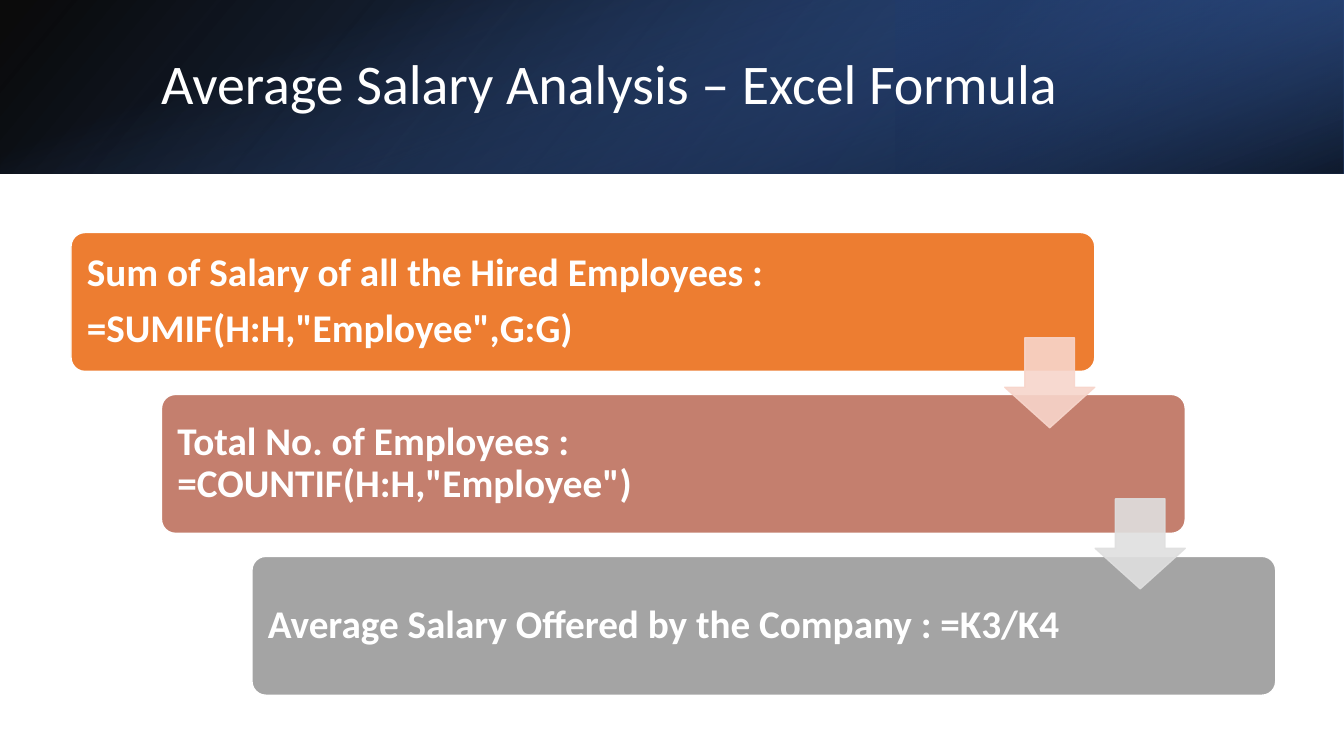
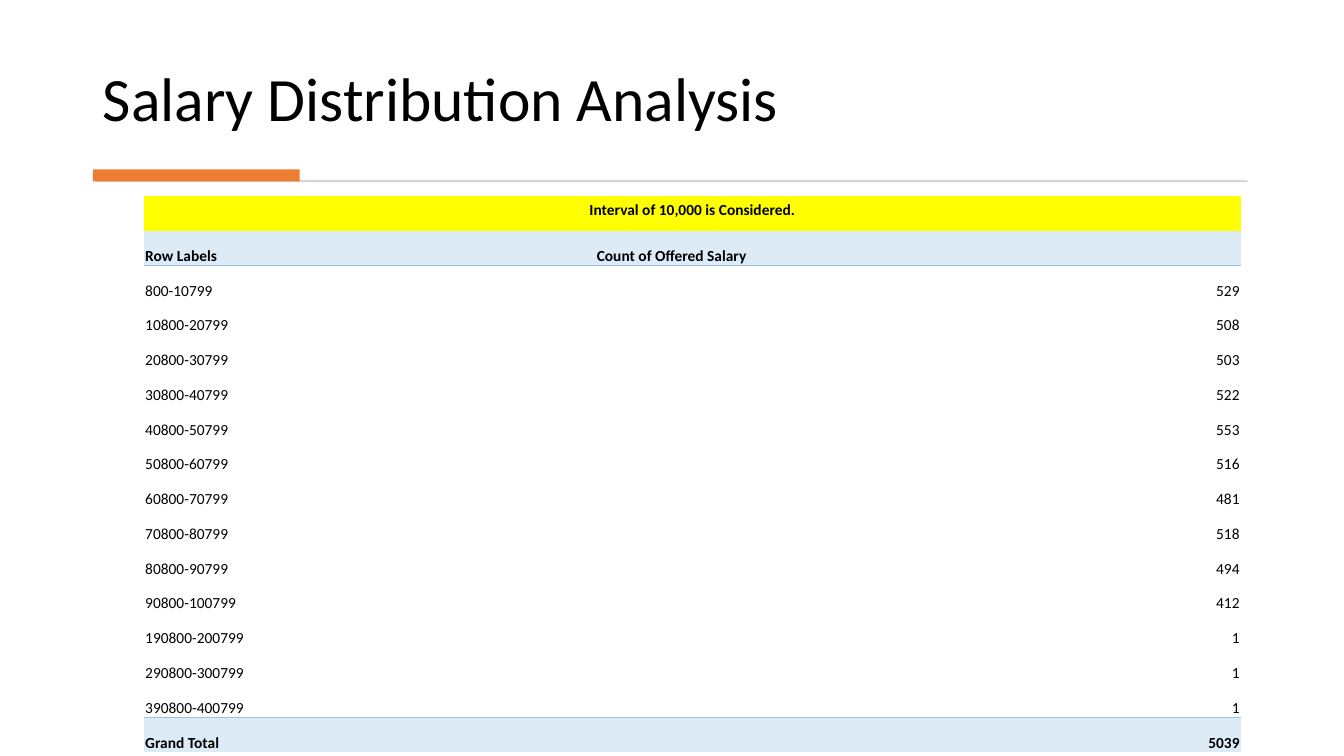
from dataclasses import dataclass

from lxml import etree
from pptx import Presentation
from pptx.dml.color import RGBColor
from pptx.enum.shapes import MSO_SHAPE
from pptx.enum.text import MSO_ANCHOR, PP_ALIGN
from pptx.oxml.ns import qn
from pptx.shapes.autoshape import Shape
from pptx.slide import Slide
from pptx.table import _Cell as Cell
from pptx.util import Cm, Pt

RECTANGLE = MSO_SHAPE.RECTANGLE
ROUNDED = MSO_SHAPE.ROUNDED_RECTANGLE
DOWN_ARROW = MSO_SHAPE.DOWN_ARROW
LEFT, CENTER, RIGHT = PP_ALIGN.LEFT, PP_ALIGN.CENTER, PP_ALIGN.RIGHT
TOP, MIDDLE, BOTTOM = MSO_ANCHOR.TOP, MSO_ANCHOR.MIDDLE, MSO_ANCHOR.BOTTOM
PLAIN_TABLE_STYLE = "{2D5ABB26-0587-4C30-8999-92F81FD0307C}"


@dataclass(frozen=True)
class Theme:
    font: str = "Calibri"
    white: str = "FFFFFF"
    black: str = "000000"
    orange: str = "ED7D31"
    rose: str = "C47F6E"
    gray: str = "A4A4A4"
    pale_rose: str = "F7D5CB"
    pale_gray: str = "DFDFDF"
    rule: str = "D5D5D5"
    blue: str = "4472C4"
    dark_blue: str = "2F5496"
    navy: str = "1F3864"
    yellow: str = "FFFF00"
    pale_blue: str = "DDEBF7"
    table_line: str = "9BC2E6"
    banner_title_size: int = 40
    title_size: int = 44
    step_size: int = 28
    table_size: int = 11


THEME = Theme()


@dataclass(frozen=True)
class Box:
    """Left, top, width and height in centimetres."""
    left: float
    top: float
    width: float
    height: float

    def lengths(self) -> tuple[Cm, Cm, Cm, Cm]:
        return Cm(self.left), Cm(self.top), Cm(self.width), Cm(self.height)

    def moved(self, right: float, down: float) -> "Box":
        return Box(self.left + right, self.top + down, self.width, self.height)


@dataclass(frozen=True)
class Stop:
    position: int
    color: str
    alpha: int


@dataclass(frozen=True)
class BannerLayer:
    box: Box
    angle: int
    stops: tuple[Stop, ...]
    rotation: int = 0
    flipped: bool = False


@dataclass(frozen=True)
class Step:
    text: str
    color: str
    arrow_color: str | None = None


BANNER = (
    BannerLayer(Box(0, 0, 33.87, 4.37), 140,
                (Stop(0, THEME.black, 96), Stop(100, THEME.dark_blue, 100)), flipped=True),
    BannerLayer(Box(22.58, 0, 11.29, 4.37), 320,
                (Stop(0, THEME.navy, 68), Stop(19, THEME.navy, 68), Stop(100, THEME.blue, 79)),
                rotation=180, flipped=True),
    BannerLayer(Box(14.75, -14.75, 4.37, 33.87), 340,
                (Stop(0, THEME.blue, 0), Stop(23, THEME.blue, 0),
                 Stop(99, THEME.black, 74), Stop(100, THEME.black, 74)), rotation=90),
)

STEPS = (
    Step('Sum of Salary of all the Hired Employees :\n=SUMIF(H:H,"Employee",G:G)',
         THEME.orange, THEME.pale_rose),
    Step('Total No. of Employees : =COUNTIF(H:H,"Employee")', THEME.rose, THEME.pale_gray),
    Step("Average Salary Offered by the Company : =K3/K4", THEME.gray),
)
STEP_BOX = Box(1.79, 5.86, 25.8, 3.5)
ARROW_BOX = Box(25.32, 8.51, 2.27, 2.27)
STEP_RIGHT, STEP_DOWN, ARROW_DOWN = 2.28, 4.08, 4.06

TABLE_TITLE = "Interval of 10,000 is Considered."
TABLE_ROWS = (
    ("Row Labels", "Count of Offered Salary"),
    ("800-10799", "529"),
    ("10800-20799", "508"),
    ("20800-30799", "503"),
    ("30800-40799", "522"),
    ("40800-50799", "553"),
    ("50800-60799", "516"),
    ("60800-70799", "481"),
    ("70800-80799", "518"),
    ("80800-90799", "494"),
    ("90800-100799", "412"),
    ("190800-200799", "1"),
    ("290800-300799", "1"),
    ("390800-400799", "1"),
    ("Grand Total", "5039"),
)
# The filled cells have an empty margin row and column on each side
TABLE_COLUMNS = (4.57, 11.38, 16.26, 4.57)
MARGIN_ROW, BODY_HEIGHT = 1.13, 14.02
TABLE_BOX = Box(-0.94, 3.81, sum(TABLE_COLUMNS), BODY_HEIGHT + 2 * MARGIN_ROW)


# Text and shapes
def write_text(target: Shape | Cell, text: str, *, size: int, color: str = THEME.black,
               bold: bool = False, align: PP_ALIGN = LEFT, anchor: MSO_ANCHOR = MIDDLE,
               insets: tuple[float, float, float, float] = (0.25, 0.13, 0.25, 0.13),
               line_spacing: float = 1.0, gap: float = 0) -> None:
    """Insets run left, top, right, bottom; gap is the space between paragraphs."""
    holder = target if isinstance(target, Cell) else target.text_frame
    holder.vertical_anchor = anchor
    (holder.margin_left, holder.margin_top,
     holder.margin_right, holder.margin_bottom) = map(Cm, insets)
    frame = target.text_frame
    frame.word_wrap = True
    for index, line in enumerate(text.split("\n")):
        paragraph = frame.add_paragraph() if index else frame.paragraphs[0]
        paragraph.alignment = align
        paragraph.line_spacing = line_spacing
        paragraph.space_before = Pt(gap if index else 0)
        run = paragraph.add_run()
        run.text = line
        run.font.name = THEME.font
        run.font.size = Pt(size)
        run.font.bold = bold
        run.font.color.rgb = RGBColor.from_string(color)


def add_block(slide: Slide, kind: MSO_SHAPE, box: Box, color: str | None = None,
              line: str | None = None) -> Shape:
    shape = slide.shapes.add_shape(kind, *box.lengths())
    shape.shadow.inherit = False
    if color:
        shape.fill.solid()
        shape.fill.fore_color.rgb = RGBColor.from_string(color)
    if line:
        shape.line.color.rgb = RGBColor.from_string(line)
        shape.line.width = Pt(1)
    else:
        shape.line.fill.background()
    return shape


def add_title(slide: Slide, text: str, box: Box, *, size: int, color: str,
              anchor: MSO_ANCHOR) -> None:
    title = slide.shapes.add_textbox(*box.lengths())
    write_text(title, text, size=size, color=color, anchor=anchor, line_spacing=0.9)


# XML helpers
def add_color(parent: etree._Element, color: str, alpha: int = 100) -> None:
    element = etree.SubElement(parent, qn("a:srgbClr"), val=color)
    if alpha < 100:
        etree.SubElement(element, qn("a:alpha"), val=str(alpha * 1000))


def set_gradient(shape: Shape, layer: BannerLayer) -> None:
    properties = shape.element.spPr
    gradient = etree.Element(qn("a:gradFill"), rotWithShape="1")
    stops = etree.SubElement(gradient, qn("a:gsLst"))
    for stop in layer.stops:
        element = etree.SubElement(stops, qn("a:gs"), pos=str(stop.position * 1000))
        add_color(element, stop.color, stop.alpha)
    etree.SubElement(gradient, qn("a:lin"), ang=str(layer.angle * 60000), scaled="0")
    properties.find(qn("a:prstGeom")).addnext(gradient)
    if layer.flipped:
        properties.find(qn("a:xfrm")).set("flipH", "1")


def set_opacity(shape: Shape, percent: int) -> None:
    for color in shape.element.spPr.iter(qn("a:srgbClr")):
        etree.SubElement(color, qn("a:alpha"), val=str(percent * 1000))


def add_bottom_border(cell: Cell) -> None:
    line = etree.Element(qn("a:lnB"), w=str(Pt(0.75)))
    add_color(etree.SubElement(line, qn("a:solidFill")), THEME.table_line)
    cell._tc.get_or_add_tcPr().insert(0, line)


def fill_cell(cell: Cell, color: str) -> None:
    cell.fill.solid()
    cell.fill.fore_color.rgb = RGBColor.from_string(color)


# Slides
def build_formula_slide(slide: Slide) -> None:
    # Banner
    for layer in BANNER:
        shape = add_block(slide, RECTANGLE, layer.box)
        shape.rotation = layer.rotation
        set_gradient(shape, layer)
    add_title(slide, "Average Salary Analysis – Excel Formula", Box(3.81, 0.95, 27.89, 2.44),
              size=THEME.banner_title_size, color=THEME.white, anchor=MIDDLE)

    # Staircase of steps
    for index, step in enumerate(STEPS):
        box = STEP_BOX.moved(index * STEP_RIGHT, index * STEP_DOWN)
        block = add_block(slide, ROUNDED, box, step.color, THEME.white)
        block.adjustments[0] = 0.1
        write_text(block, step.text, size=THEME.step_size, color=THEME.white, bold=True,
                   insets=(0.3, 0.3, 4.85, 0.3), line_spacing=0.9, gap=9.8)

    # Arrows between the steps
    for index, step in enumerate(STEPS):
        if step.arrow_color:
            box = ARROW_BOX.moved(index * STEP_RIGHT, index * ARROW_DOWN)
            arrow = add_block(slide, DOWN_ARROW, box, step.arrow_color, step.arrow_color)
            arrow.adjustments[0], arrow.adjustments[1] = 0.55, 0.45
            set_opacity(arrow, 90)


def build_distribution_slide(slide: Slide) -> None:
    # Title and rule
    add_title(slide, "Salary Distribution Analysis", Box(2.34, 0.71, 29.18, 2.82),
              size=THEME.title_size, color=THEME.black, anchor=BOTTOM)
    add_block(slide, RECTANGLE, Box(2.41, 4.54, 29.03, 0.05), THEME.rule)
    add_block(slide, RECTANGLE, Box(2.34, 4.27, 5.21, 0.3), THEME.orange)

    # Table frame
    body_rows = len(TABLE_ROWS) + 1
    frame = slide.shapes.add_table(body_rows + 2, len(TABLE_COLUMNS), *TABLE_BOX.lengths())
    next(frame.element.iter(qn("a:tableStyleId"))).text = PLAIN_TABLE_STYLE
    table = frame.table
    table.first_row = table.horz_banding = False
    for column, width in zip(table.columns, TABLE_COLUMNS):
        column.width = Cm(width)
    for index, row in enumerate(table.rows):
        in_body = 1 <= index <= body_rows
        row.height = Cm(BODY_HEIGHT / body_rows if in_body else MARGIN_ROW)
    for cell in table.iter_cells():
        cell.margin_top = cell.margin_bottom = 0
        cell.fill.background()

    # Heading across both filled columns
    heading = table.cell(1, 1)
    heading.merge(table.cell(1, 2))
    write_text(heading, TABLE_TITLE, size=THEME.table_size, bold=True, align=CENTER, anchor=TOP)
    fill_cell(heading, THEME.yellow)

    # Labels, counts and total
    last = len(TABLE_ROWS) - 1
    for row_index, values in enumerate(TABLE_ROWS):
        emphasized = row_index in (0, last)
        for column_index, value in enumerate(values):
            cell = table.cell(row_index + 2, column_index + 1)
            write_text(cell, value, size=THEME.table_size, bold=emphasized, anchor=BOTTOM,
                       align=RIGHT if column_index and row_index else LEFT,
                       insets=(0.03, 0.03, 0.03, 0))
            if emphasized:
                fill_cell(cell, THEME.pale_blue)
            if row_index in (0, last - 1):
                add_bottom_border(cell)


def main() -> None:
    presentation = Presentation()
    presentation.slide_width, presentation.slide_height = Cm(33.87), Cm(19.05)
    blank = presentation.slide_layouts[6]
    for build in (build_formula_slide, build_distribution_slide):
        build(presentation.slides.add_slide(blank))
    presentation.save("out.pptx")


if __name__ == "__main__":
    main()
